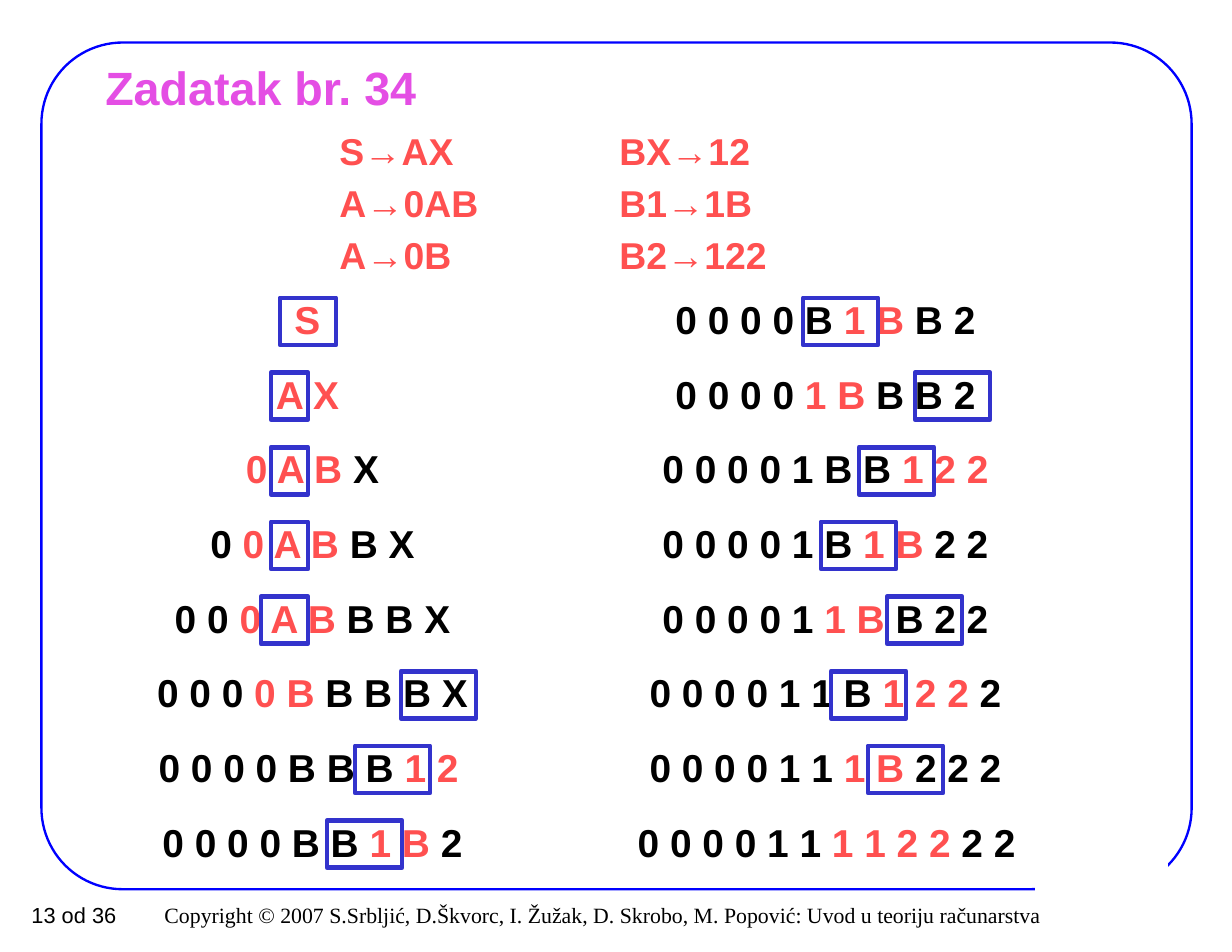
"""Build the slide that derives a word step by step from grammar productions."""
from dataclasses import dataclass
from typing import Optional

import pptx
import pptx.util
from pptx.dml.color import RGBColor
from pptx.enum.shapes import MSO_SHAPE
from pptx.enum.text import MSO_ANCHOR, MSO_AUTO_SIZE, PP_ALIGN
from pptx.util import Inches, Pt

BLACK = RGBColor(0, 0, 0)
WHITE = RGBColor(255, 255, 255)
BLUE = RGBColor(0, 0, 255)
INDIGO = RGBColor(0x33, 0x33, 0xCC)
PINK = RGBColor(0xE4, 0x4E, 0xE4)
RED = RGBColor(0xFF, 0x50, 0x50)

ROW_TOP, ROW_PITCH = 2.58, 2 / 3
INSETS = {
    "margin_left": Inches(0.11),
    "margin_right": Inches(0.11),
    "margin_top": Inches(0.06),
    "margin_bottom": Inches(0.06),
}
TITLE_FONT = {"name": "Arial", "size": Pt(30), "bold": True}
RULE_FONT = {"name": "Arial", "size": Pt(24), "bold": True}
STEP_FONT = {"name": "Arial", "size": Pt(25), "bold": True}
PAGE_FONT = {"name": "Arial", "size": Pt(14)}
COPYRIGHT_FONT = {"name": "Times New Roman", "size": Pt(14)}


@dataclass
class Step:
    """One sentential form, with its new symbols between asterisks."""
    text: str
    left: float
    width: float
    mark_left: Optional[float] = None
    mark_width: float = 0.67


LEFT_STEPS = [
    Step("*S*", 2.33, 0.83, 2.5, 0.5),
    Step("*A X*", 2.33, 0.83, 2.42, 0.33),
    Step("*0 A B *X", 1.25, 3.08, 2.42, 0.33),
    Step("0 *0 A B *B X", 1.25, 3.08, 2.42, 0.33),
    Step("0 0 *0 A B *B B X", 1.25, 3.08, 2.33, 0.42),
    Step("0 0 0 *0 B* B B B X", 1.25, 3.08, 3.58),
    Step("0 0 0 0 B B B *1 2*", 0.92, 3.67, 3.17),
    Step("0 0 0 0 B B *1 B *2", 1.25, 3.08, 2.92),
]
RIGHT_STEPS = [
    Step("0 0 0 0 B *1 B* B 2", 5.83, 3.08, 7.17),
    Step("0 0 0 0 *1 B* B B 2", 5.83, 3.08, 8.17),
    Step("0 0 0 0 1 B B *1 2 2*", 5.58, 3.58, 7.67),
    Step("0 0 0 0 1 B *1 B *2 2", 5.58, 3.58, 7.33),
    Step("0 0 0 0 1 *1 B* B 2 2", 5.58, 3.58, 7.92),
    Step("0 0 0 0 1 1 B *1 2 2* 2", 5.58, 3.58, 7.42),
    Step("0 0 0 0 1 1 *1 B *2 2 2", 5.58, 3.58, 7.75),
    Step("0 0 0 0 1 1 *1 1 2 2* 2 2", 5.42, 3.92),
]


def apply(target, values: dict) -> None:
    for name, value in values.items():
        setattr(target, name, value)


def add_run(p, text: str, font: dict, color: RGBColor) -> None:
    r = p.add_run()
    r.text = text
    apply(r.font, font)
    r.font.color.rgb = color


def hang(p) -> None:
    pPr = p._p.get_or_add_pPr()
    pPr.set("marL", str(Inches(0.23)))
    pPr.set("indent", str(Inches(-0.23)))


def place(sp, left: float, top: float, width: float, height: float) -> None:
    apply(sp, {"left": Inches(left), "top": Inches(top),
               "width": Inches(width), "height": Inches(height)})


def add_box(s, kind, left: float, top: float, width: float, height: float,
            color: RGBColor, weight: float, fill: Optional[RGBColor] = None):
    sp = s.shapes.add_shape(kind, Inches(left), Inches(top),
                            Inches(width), Inches(height))
    sp.shadow.inherit = False
    if fill is None:
        sp.fill.background()
    else:
        sp.fill.solid()
        sp.fill.fore_color.rgb = fill
    sp.line.color.rgb = color
    sp.line.width = Pt(weight)
    return sp


def add_text(s, left: float, top: float, width: float, height: float,
             align, wrap: bool = True):
    tf = s.shapes.add_textbox(Inches(left), Inches(top),
                              Inches(width), Inches(height)).text_frame
    tf.word_wrap = wrap
    tf.paragraphs[0].alignment = align
    return tf


def fill_rules(sp, left: float, rules: list[str]) -> None:
    place(sp, left, 1.08, 2, 1.5)
    tf = sp.text_frame
    apply(tf, {**INSETS, "auto_size": MSO_AUTO_SIZE.NONE})
    for i, rule in enumerate(rules):
        p = tf.add_paragraph() if i else tf.paragraphs[0]
        p.alignment = PP_ALIGN.JUSTIFY
        hang(p)
        pPr = p._p.get_or_add_pPr()
        pPr.append(pPr.makeelement(pptx.oxml.ns.qn("a:buNone"), {}))
        add_run(p, rule, RULE_FONT, RED)


def add_step(s, step: Step, top: float) -> None:
    tf = add_text(s, step.left, top, step.width, 0.58, PP_ALIGN.CENTER)
    apply(tf, INSETS)
    p = tf.paragraphs[0]
    p.space_before = Pt(5)
    hang(p)
    for i, part in enumerate(step.text.split("*")):
        if part:
            add_run(p, part, STEP_FONT, RED if i % 2 else BLACK)


def main() -> None:
    prs = pptx.Presentation()
    prs.slide_width, prs.slide_height = Inches(11), Inches(8.5)
    s = prs.slides.add_slide(prs.slide_layouts[3])
    title, left_rules, right_rules = s.placeholders

    frame = add_box(s, MSO_SHAPE.ROUNDED_RECTANGLE, 0.37, 0.38, 10.27, 7.56, BLUE, 1.5)
    frame.adjustments[0] = 0.096
    add_box(s, MSO_SHAPE.RECTANGLE, 9.25, 7.67, 1.17, 0.5, WHITE, 1, WHITE)

    tf = add_text(s, 0.17, 8, 9.23, 0.33, PP_ALIGN.RIGHT)
    tf.vertical_anchor = MSO_ANCHOR.MIDDLE
    add_run(tf.paragraphs[0], "Copyright © 2007 S.Srbljić, D.Škvorc, I. Žužak, D. Skrobo, "
            "M. Popović: Uvod u teoriju računarstva", COPYRIGHT_FONT, BLACK)
    tf = add_text(s, 0.17, 8, 0.98, 0.34, PP_ALIGN.CENTER, wrap=False)
    add_run(tf.paragraphs[0], "13 od 36", PAGE_FONT, BLACK)

    place(title, 0.83, 0.5, 9.35, 0.55)
    tf = title.text_frame
    apply(tf, {**INSETS, "vertical_anchor": MSO_ANCHOR.MIDDLE,
               "auto_size": MSO_AUTO_SIZE.NONE})
    tf.paragraphs[0].alignment = PP_ALIGN.LEFT
    add_run(tf.paragraphs[0], "Zadatak br. 34", TITLE_FONT, PINK)

    fill_rules(left_rules, 2.92, ["S→AX", "A→0AB", "A→0B"])
    fill_rules(right_rules, 5.42, ["BX→12", "B1→1B", "B2→122"])

    for steps in (LEFT_STEPS, RIGHT_STEPS):
        for row, step in enumerate(steps):
            top = ROW_TOP + row * ROW_PITCH
            add_step(s, step, top)
            if step.mark_left is not None:
                add_box(s, MSO_SHAPE.RECTANGLE, step.mark_left, top + 0.08,
                        step.mark_width, 0.42, INDIGO, 3)

    prs.save("out.pptx")


if __name__ == "__main__":
    main()
